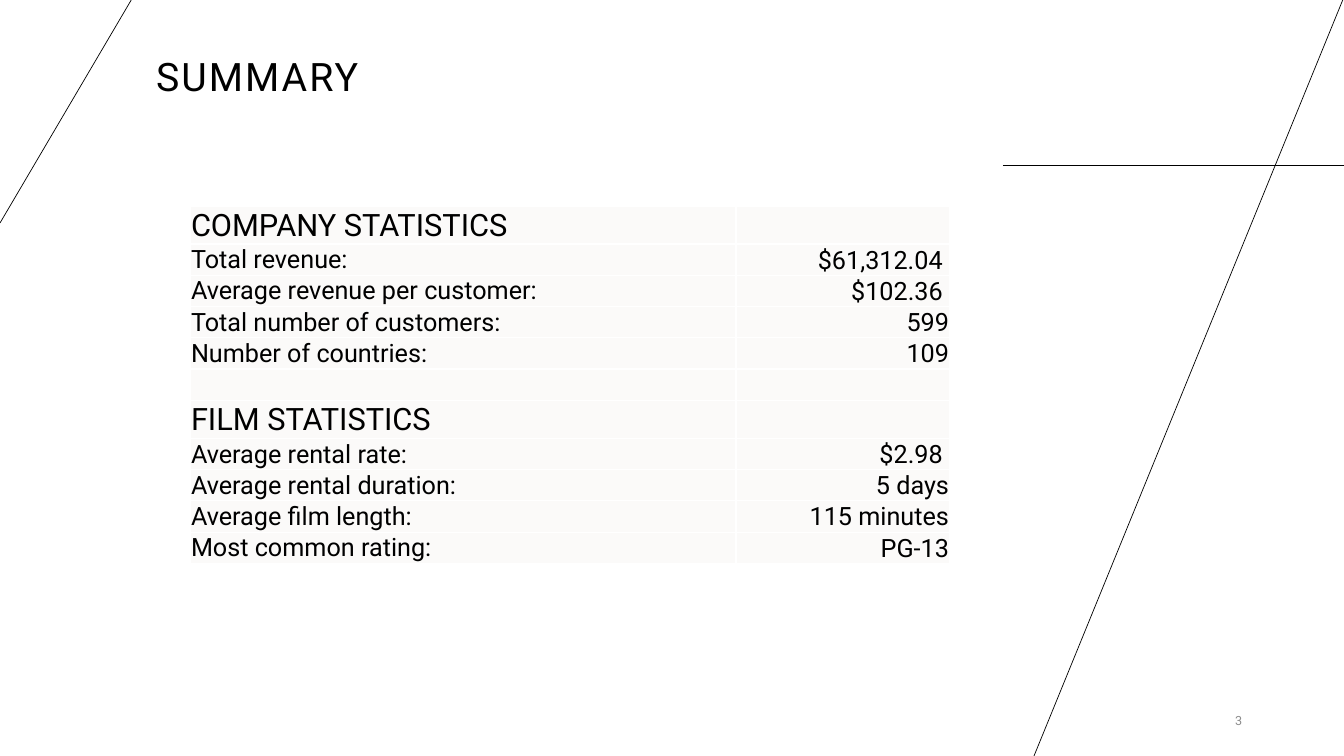
from dataclasses import dataclass

from lxml import etree
from pptx import Presentation
from pptx import util as u
from pptx.dml.color import RGBColor
from pptx.enum import shapes, text
from pptx.oxml import ns

SLIDE_WIDTH, SLIDE_HEIGHT = 1344, 756
EMU_PER_PX = 12192000 / SLIDE_WIDTH


@dataclass(frozen=True)
class Theme:
    font: str = "Roboto"
    ink: str = "000000"
    muted: str = "8C8C8C"
    cell: str = "FBFAF9"
    border: str = "FFFFFF"
    title_size: int = 28
    heading_size: int = 22
    body_size: int = 18
    number_size: int = 9


THEME = Theme()

SECTIONS = [
    ("COMPANY STATISTICS", [
        ("Total revenue:", "$61,312.04 "),
        ("Average revenue per customer:", "$102.36 "),
        ("Total number of customers:", "599"),
        ("Number of countries:", "109"),
    ]),
    ("FILM STATISTICS", [
        ("Average rental rate:", "$2.98 "),
        ("Average rental duration:", "5 days"),
        ("Average film length:", "115 minutes"),
        ("Most common rating:", "PG-13"),
    ]),
]
COLUMN_WIDTHS = (546, 214)
HEADING_HEIGHT, ROW_HEIGHT = 34, 28
ACCENT_LINES = [
    (1003, 165, 1344, 165),
    (1344, -3, 1034, 756),
    (0, 223, 133, -3),
]


def px(length):
    return u.Emu(round(length * EMU_PER_PX))


def format_run(run, size, color=THEME.ink):
    run.font.name = THEME.font
    run.font.size = u.Pt(size)
    run.font.color.rgb = RGBColor.from_string(color)


def add_line(slide, x1, y1, x2, y2):
    line = slide.shapes.add_connector(
        shapes.MSO_CONNECTOR.STRAIGHT, px(x1), px(y1), px(x2), px(y2))
    line.line.color.rgb = RGBColor.from_string(THEME.ink)
    line.line.width = u.Pt(0.5)
    etree.SubElement(line._element.spPr, ns.qn("a:effectLst"))


def set_title(slide, wording):
    title = slide.shapes.title
    title.left, title.top, title.width, title.height = map(px, (146, 29, 803, 76))
    frame = title.text_frame
    frame.text = wording
    frame.word_wrap = True
    frame.auto_size = text.MSO_AUTO_SIZE.NONE
    frame.vertical_anchor = text.MSO_ANCHOR.BOTTOM
    paragraph = frame.paragraphs[0]
    paragraph.alignment = text.PP_ALIGN.LEFT
    paragraph.line_spacing = 0.9
    run = paragraph.runs[0]
    format_run(run, THEME.title_size)
    run.font._element.set("spc", "150")


def add_slide_number(slide, number):
    frame = slide.shapes.add_textbox(px(1143), px(701), px(109), px(40)).text_frame
    frame.text = str(number)
    frame.word_wrap = True
    frame.vertical_anchor = text.MSO_ANCHOR.MIDDLE
    paragraph = frame.paragraphs[0]
    paragraph.alignment = text.PP_ALIGN.RIGHT
    paragraph.space_after = u.Pt(6)
    format_run(paragraph.runs[0], THEME.number_size, THEME.muted)


def set_borders(cell):
    properties = cell._tc.get_or_add_tcPr()
    for position, side in enumerate(("lnL", "lnR", "lnT", "lnB")):
        border = etree.Element(ns.qn(f"a:{side}"), w=str(u.Pt(1)))
        fill = etree.SubElement(border, ns.qn("a:solidFill"))
        etree.SubElement(fill, ns.qn("a:srgbClr"), val=THEME.border)
        properties.insert(position, border)


def fill_cell(cell, wording, size, anchor, alignment):
    cell.fill.solid()
    cell.fill.fore_color.rgb = RGBColor.from_string(THEME.cell)
    cell.margin_left = cell.margin_right = cell.margin_top = px(1)
    cell.margin_bottom = 0
    cell.vertical_anchor = anchor
    set_borders(cell)
    paragraph = cell.text_frame.paragraphs[0]
    paragraph.alignment = alignment
    if wording:
        paragraph.text = wording
        format_run(paragraph.runs[0], size)
    else:
        ending = etree.SubElement(
            paragraph._p, ns.qn("a:endParaRPr"), sz=str(THEME.body_size * 100))
        etree.SubElement(ending, ns.qn("a:latin"), typeface=THEME.font)


def statistics_rows():
    rows = []
    for heading, entries in SECTIONS:
        if rows:
            rows.append(("", "", THEME.body_size))
        rows.append((heading, "", THEME.heading_size))
        rows.extend((label, value, THEME.body_size) for label, value in entries)
    return rows


def add_statistics_table(slide):
    rows = statistics_rows()
    heights = [HEADING_HEIGHT if size == THEME.heading_size else ROW_HEIGHT
               for _, _, size in rows]
    table = slide.shapes.add_table(
        len(rows), len(COLUMN_WIDTHS), px(190), px(206),
        px(sum(COLUMN_WIDTHS)), px(sum(heights))).table
    table.first_row = table.horz_banding = False
    for column, width in zip(table.columns, COLUMN_WIDTHS):
        column.width = px(width)
    for index, (label, value, size) in enumerate(rows):
        table.rows[index].height = px(heights[index])
        fill_cell(table.cell(index, 0), label, size,
                  text.MSO_ANCHOR.MIDDLE, text.PP_ALIGN.LEFT)
        fill_cell(table.cell(index, 1), value, size,
                  text.MSO_ANCHOR.BOTTOM, text.PP_ALIGN.RIGHT)


def main():
    presentation = Presentation()
    presentation.slide_width = px(SLIDE_WIDTH)
    presentation.slide_height = px(SLIDE_HEIGHT)
    slide = presentation.slides.add_slide(presentation.slide_layouts[5])
    for ends in ACCENT_LINES:
        add_line(slide, *ends)
    set_title(slide, "SUMMARY")
    add_slide_number(slide, 3)
    add_statistics_table(slide)
    presentation.save("out.pptx")


if __name__ == "__main__":
    main()
